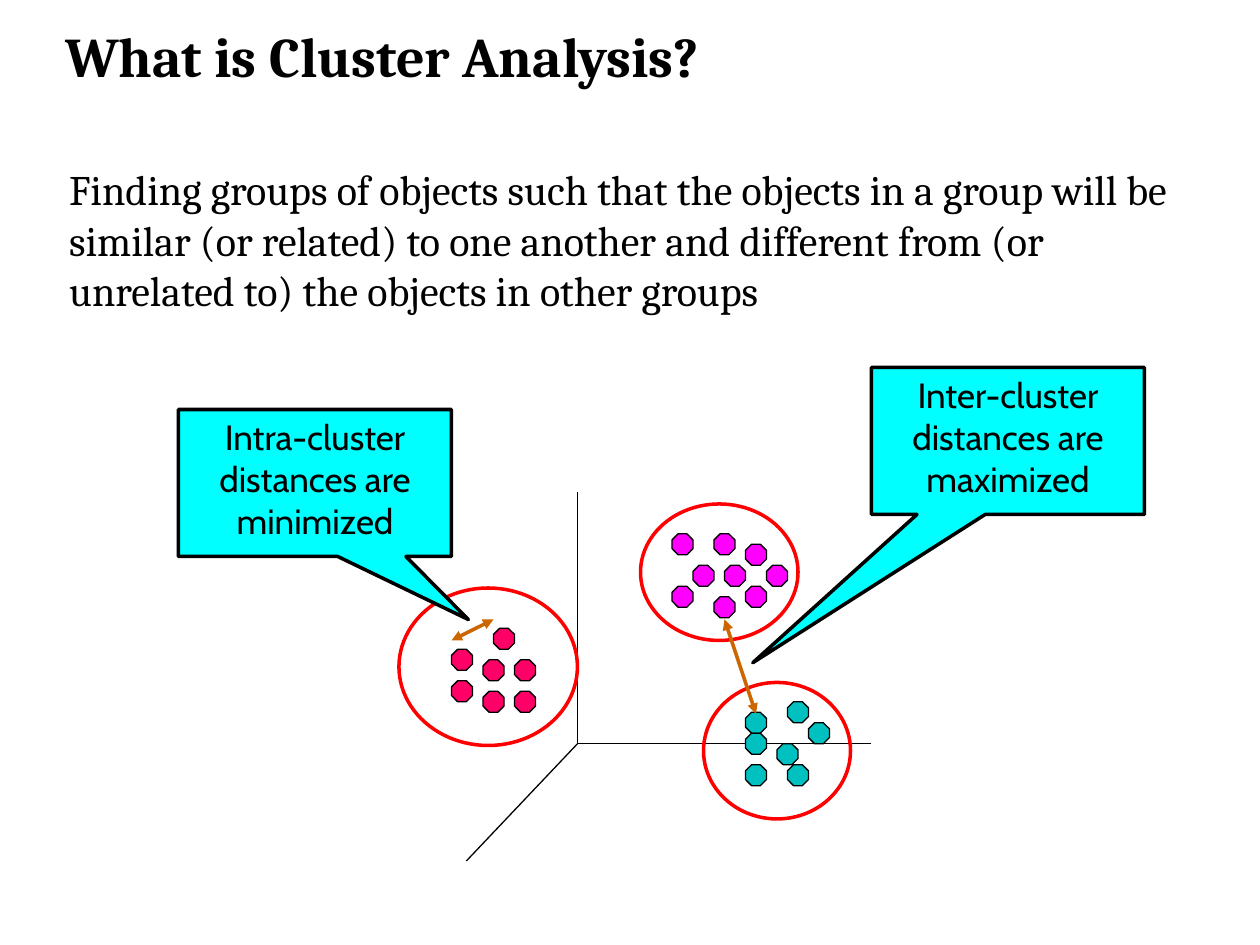
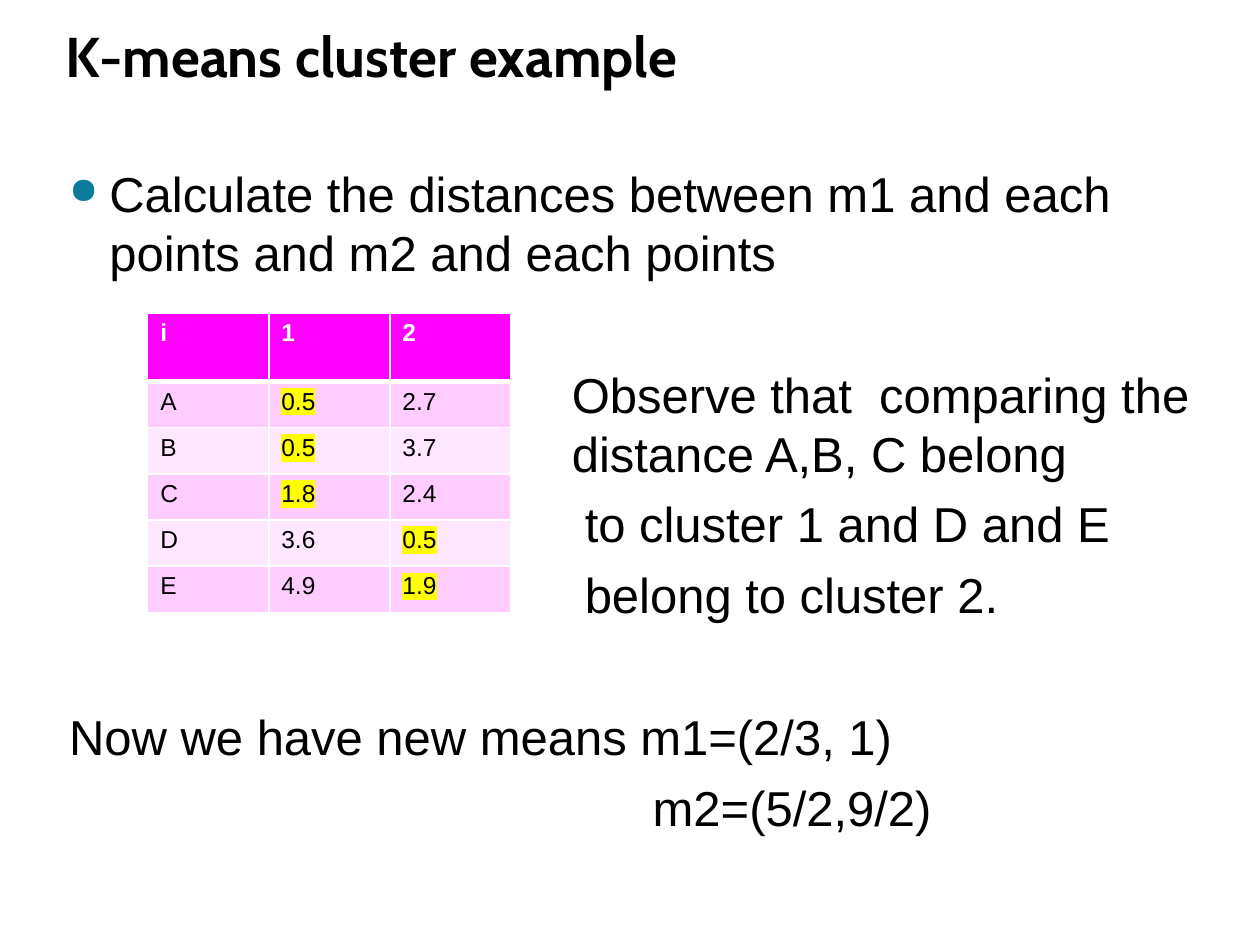
import pptx
import pptx.dml.color
import pptx.enum.shapes
import pptx.enum.text
import pptx.oxml
import pptx.oxml.ns
import pptx.util
from dataclasses import dataclass

Pt = pptx.util.Pt
RGB = pptx.dml.color.RGBColor.from_string
SHAPE = pptx.enum.shapes.MSO_SHAPE
ANCHOR = pptx.enum.text.MSO_ANCHOR
ALIGN = pptx.enum.text.PP_ALIGN
NS = pptx.oxml.ns.nsdecls("a")


@dataclass(frozen=True)
class Theme:
    ink: str = "000000"
    paper: str = "FFFFFF"
    pink: str = "FF00FF"
    rose: str = "FF0066"
    teal: str = "00C0C0"
    cyan: str = "00FFFF"
    ring: str = "FF0000"
    arrow: str = "CC6600"
    bullet: str = "0C7B9C"
    mark: str = "FFFF00"
    bands: tuple = ("FFCCFF", "FFE7FF")
    serif: str = "Cambria"
    sans: str = "Cabin"
    plain: str = "Arial"
    title: int = 32
    large: int = 28
    body: int = 24
    note: int = 20
    cell: int = 14


theme = Theme()


def write(frame, lines, face, size, color=theme.ink, bold=False, pitch=None):
    """Fill a text frame, one paragraph a line; pitch is the line height in points."""
    frame.word_wrap = True
    frame.text = "\n".join(lines)
    for i, para in enumerate(frame.paragraphs):
        if pitch:
            para.line_spacing = Pt(pitch)
        if i:
            para.space_before = Pt(6.7)
        for run in para.runs:
            run.font.name = face
            run.font.size = Pt(size)
            run.font.bold = bold
            run.font.color.rgb = RGB(color)
    return frame.paragraphs


def link(slide, start, end, color, width, heads=False):
    line = slide.shapes.add_connector(
        pptx.enum.shapes.MSO_CONNECTOR.STRAIGHT, *map(Pt, start + end))
    line.line.color.rgb = RGB(color)
    line.line.width = Pt(width)
    props = line._element.spPr
    props.append(pptx.oxml.parse_xml(f"<a:effectLst {NS}/>"))
    if heads:
        for tag in ("headEnd", "tailEnd"):
            props.ln.append(pptx.oxml.parse_xml(f'<a:{tag} {NS} type="triangle"/>'))


deck = pptx.Presentation()
deck.slide_width, deck.slide_height = Pt(720), Pt(540)

# Titles
slides = []
for title, face in (("What is Cluster Analysis?", theme.serif),
                    ("K-means cluster example", theme.sans)):
    slide = deck.slides.add_slide(deck.slide_layouts[6])
    frame = slide.shapes.add_textbox(Pt(30.2), Pt(12.2), Pt(652), Pt(42)).text_frame
    write(frame, [title], face, theme.title, bold=True, pitch=36)
    frame.vertical_anchor = ANCHOR.BOTTOM
    slides.append(slide)
intro, sample = slides

# Slide 1: definition and cluster sketch
box = intro.shapes.add_textbox(Pt(32.4), Pt(90), Pt(655), Pt(102))
write(box.text_frame, [
    "Finding groups of objects such that the objects in a group will be similar "
    "(or related) to one another and different from (or unrelated to) the objects "
    "in other groups"], theme.serif, theme.body, pitch=1.2 * theme.body)

hub = (330, 425)
for tip in ((330, 281), (498, 425), (266.5, 492)):
    link(intro, hub, tip, theme.ink, 0.75)

# Points sit on a 6 pt grid: (column, row)
unit, top = 6, 305
groups = {
    theme.pink: [(66, 3), (69, 3), (68, 0), (68, 6), (73, 3), (71, 1), (64, 0),
                 (71, 5), (64, 5)],
    theme.rose: [(43, 11), (46, 12), (46, 15), (49, 12), (47, 9), (49, 15), (43, 14)],
    theme.teal: [(71, 17), (77, 18), (74, 20), (71, 22), (75, 22), (71, 19), (75, 16)],
}
# kind, frame, fill, line colour, line width, adjustments, text
marks = [(SHAPE.OCTAGON, (col * unit, top + row * unit, 12, 12), fill,
          theme.ink, 0.75, (), "")
         for fill, dots in groups.items() for col, row in dots]
marks += [(SHAPE.OVAL, ring, None, theme.ring, 2, (), "")
          for ring in ((228, 336, 102, 90), (366, 288, 90, 78), (402, 390, 84, 78))]
marks += [(SHAPE.RECTANGULAR_CALLOUT, (left, y, 156, 84), theme.cyan,
           theme.ink, 2, tip, text)
          for left, y, tip, text in (
              (498, 210, (-0.935, 1.509), "Inter-cluster distances are maximized"),
              (102, 234, (0.562, 0.929), "Intra-cluster distances are minimized"))]

for kind, place, fill, edge, width, tip, text in marks:
    shape = intro.shapes.add_shape(kind, *map(Pt, place))
    shape.shadow.inherit = False
    shape.line.color.rgb = RGB(edge)
    shape.line.width = Pt(width)
    if fill:
        shape.fill.solid()
        shape.fill.fore_color.rgb = RGB(fill)
    else:
        shape.fill.background()
    for i, value in enumerate(tip):
        shape.adjustments[i] = value
    if text:
        shape.text_frame.vertical_anchor = ANCHOR.TOP
        para, = write(shape.text_frame, [text], theme.sans, theme.note)
        para.alignment = ALIGN.CENTER

for start, end in (((432, 408), (414, 354)), ((258, 366), (282, 354))):
    link(intro, start, end, theme.arrow, 2, heads=True)

# Slide 2: text blocks as place, then (line, left indent) pairs
blocks = [
    ((32.4, 90, 655, 76),
     [("Calculate the distances between m1 and each points and m2 and each points", 23)]),
    ((319.7, 204.9, 376, 156),
     [("Observe that  comparing the\vdistance A,B, C belong", 0),
      ("to cluster 1 and D and E", 7.4), ("belong to cluster 2.", 7.4)]),
    ((32.4, 400.3, 655, 84),
     [("Now we have new means m1=(2/3, 1)", 0), ("m2=(5/2,9/2)", 333.5)]),
]
for i, (place, pairs) in enumerate(blocks):
    box = sample.shapes.add_textbox(*map(Pt, place))
    paras = write(box.text_frame, [line for line, _ in pairs], theme.plain,
                  theme.large, pitch=1.2 * theme.large)
    for para, (_, indent) in zip(paras, pairs):
        props = para._p.get_or_add_pPr()
        props.set("marL", str(Pt(indent)))
        if i == 0:
            props.set("indent", str(-Pt(indent)))
            for xml in (f'<a:buClr {NS}><a:srgbClr val="{theme.bullet}"/></a:buClr>',
                        f'<a:buSzPct {NS} val="75000"/>',
                        f'<a:buChar {NS} char="●"/>'):
                props.append(pptx.oxml.parse_xml(xml))

# Slide 2: distances, the nearer mean marked in each row
rows = [("i", "1", "2"), ("A", "0.5", "2.7"), ("B", "0.5", "3.7"),
        ("C", "1.8", "2.4"), ("D", "3.6", "0.5"), ("E", "4.9", "1.9")]
table = sample.shapes.add_table(
    len(rows), 3, Pt(84.4), Pt(178.8), Pt(207.6), Pt(171.2)).table
for col in table.columns:
    col.width = Pt(69.2)
for r, row in enumerate(rows):
    head = r == 0
    table.rows[r].height = Pt(39.2 if head else 26.4)
    for c, text in enumerate(row):
        cell = table.cell(r, c)
        para, = write(cell.text_frame, [text], theme.plain, theme.cell,
                      theme.paper if head else theme.ink, bold=head)
        cell.fill.solid()
        cell.fill.fore_color.rgb = RGB(theme.pink if head else theme.bands[(r - 1) % 2])
        if not head and c and text == min(row[1:], key=float):
            props = para.runs[0]._r.rPr
            props.find(pptx.oxml.ns.qn("a:latin")).addprevious(pptx.oxml.parse_xml(
                f'<a:highlight {NS}><a:srgbClr val="{theme.mark}"/></a:highlight>'))
        widths = {"L": 1, "R": 1, "T": 3 if r == 1 else 1, "B": 3 if head else 1}
        for i, (side, width) in enumerate(widths.items()):
            cell._tc.tcPr.insert(i, pptx.oxml.parse_xml(
                f'<a:ln{side} {NS} w="{Pt(width)}"><a:solidFill>'
                f'<a:srgbClr val="{theme.paper}"/></a:solidFill></a:ln{side}>'))

deck.save("out.pptx")
